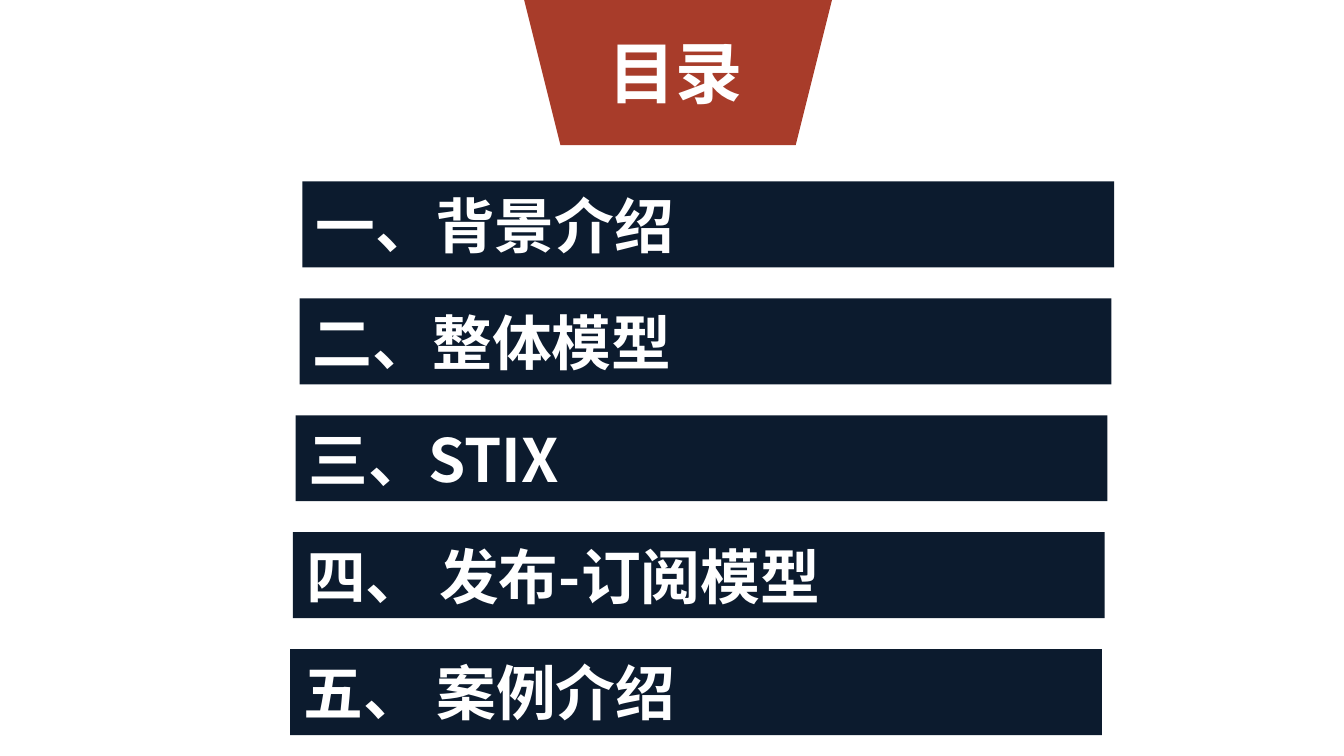
from dataclasses import dataclass

from pptx import Presentation
from pptx.dml.color import RGBColor
from pptx.enum.shapes import MSO_SHAPE
from pptx.enum.text import MSO_ANCHOR, PP_ALIGN
from pptx.oxml.ns import qn
from pptx.util import Inches, Pt


@dataclass(frozen=True)
class Theme:
    navy: RGBColor = RGBColor(0x0C, 0x1B, 0x2E)
    red: RGBColor = RGBColor(0xA8, 0x3C, 0x2A)
    white: RGBColor = RGBColor(0xFF, 0xFF, 0xFF)
    font: str = "Noto Sans CJK SC"
    title_size: int = 36
    item_size: int = 32


THEME = Theme()
ITEMS = ["一、背景介绍", "二、整体模型", "三、STIX", "四、 发布-订阅模型", "五、 案例介绍"]
BAR_LEFTS = [2.25, 2.23, 2.2, 2.18, 2.16]
BAR_PITCH = 0.87


def add_block(page, preset, box, color):
    block = page.shapes.add_shape(preset, *map(Inches, box))
    block.shadow.inherit = False
    block.fill.solid()
    block.fill.fore_color.rgb = color
    block.line.fill.background()
    return block


def write_text(shape, text, size, wrap):
    frame = shape.text_frame
    frame_format = {
        "word_wrap": wrap,
        "vertical_anchor": MSO_ANCHOR.MIDDLE,
        "margin_top": 0,
        "margin_bottom": 0,
    }
    for name, value in frame_format.items():
        setattr(frame, name, value)
    para = frame.paragraphs[0]
    para.alignment = PP_ALIGN.LEFT
    span = para.add_run()
    span.text = text
    for name, value in {"name": THEME.font, "size": Pt(size), "bold": True}.items():
        setattr(span.font, name, value)
    span.font.color.rgb = THEME.white
    properties = span._r.get_or_add_rPr()
    east_asian = properties.makeelement(qn("a:ea"), {"typeface": THEME.font})
    properties.find(qn("a:latin")).addnext(east_asian)


def add_title(page, box):
    left, top, width, height = box
    banner = add_block(page, MSO_SHAPE.TRAPEZOID, box, THEME.red)
    banner.rotation = 180
    label_box = (left + 0.53, top + 0.18, 1.21, 0.71)
    label = page.shapes.add_textbox(*map(Inches, label_box))
    write_text(label, "目录", THEME.title_size, False)


def add_item(page, box, text):
    bar = add_block(page, MSO_SHAPE.RECTANGLE, box, THEME.navy)
    write_text(bar, text, THEME.item_size, True)


def main():
    deck = Presentation()
    deck.slide_width = Inches(10)
    deck.slide_height = deck.slide_width * 9 // 16
    page = deck.slides.add_slide(deck.slide_layouts[6])
    add_title(page, (3.9, 0, 2.29, 1.08))
    for index, (left, text) in enumerate(zip(BAR_LEFTS, ITEMS)):
        add_item(page, (left, 1.35 + index * BAR_PITCH, 6.04, 0.64), text)
    deck.save("out.pptx")


if __name__ == "__main__":
    main()
